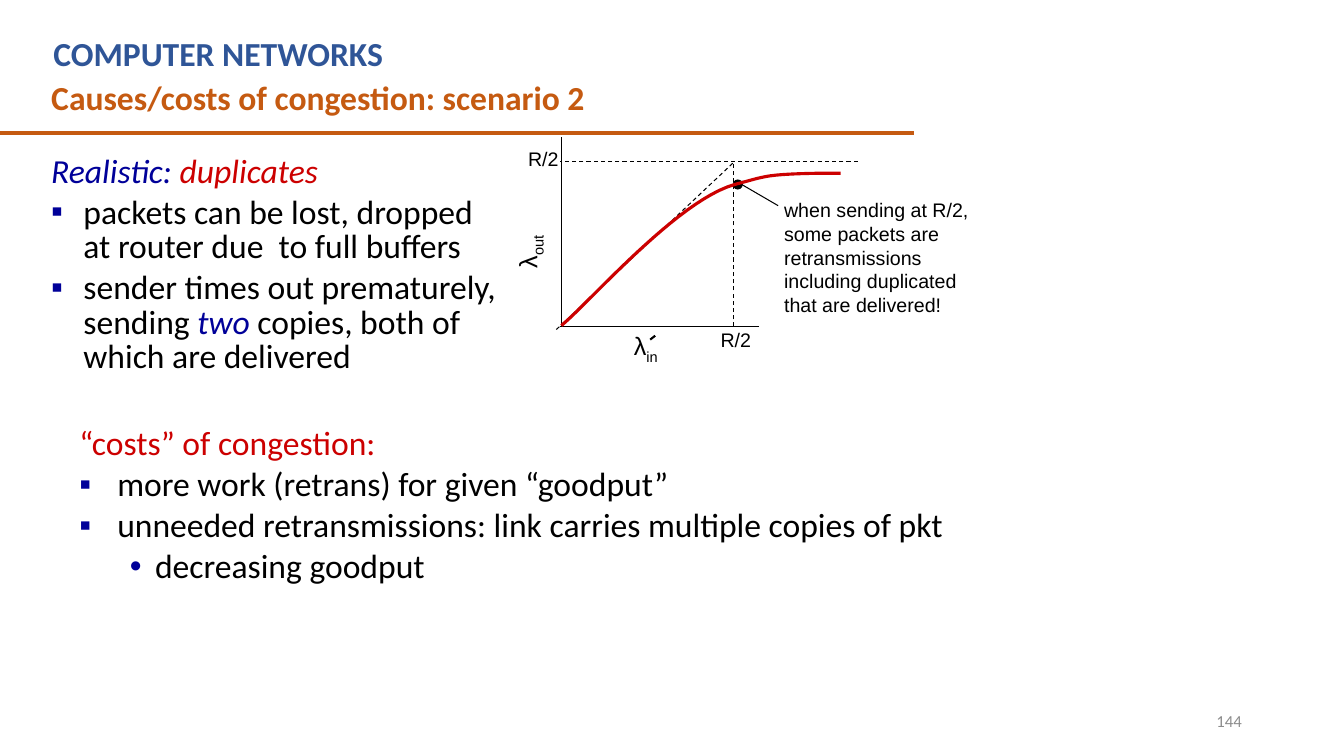
from dataclasses import dataclass

from lxml import etree
from pptx import Presentation
from pptx.dml.color import RGBColor
from pptx.enum.dml import MSO_LINE
from pptx.enum.shapes import MSO_CONNECTOR, MSO_SHAPE
from pptx.enum.text import MSO_ANCHOR, PP_ALIGN
from pptx.oxml.ns import qn
from pptx.util import Pt

STRAIGHT = MSO_CONNECTOR.STRAIGHT
ELLIPSE = MSO_SHAPE.OVAL
DASH = MSO_LINE.DASH
LEFT, RIGHT = PP_ALIGN.LEFT, PP_ALIGN.RIGHT
TOP, MIDDLE = MSO_ANCHOR.TOP, MSO_ANCHOR.MIDDLE

BLACK, RED, NAVY = "000000", "CC0000", "000099"
ORANGE, BLUE, GREY = "C55A11", "2F5597", "8C8C8C"
SQUARE, DOT = "▪", "•"


@dataclass
class Span:
    text: str
    color: str = ""
    italic: bool = False
    subscript: bool = False


@dataclass
class Para:
    spans: list[Span]
    color: str = BLACK
    indent: float = 0
    hanging: float = 0
    bullet: str = ""
    level: int = 0


@dataclass
class TextBox:
    left: float
    top: float
    width: float
    height: float
    paras: list[Para]
    size: float = 14
    font: str = "Arial"
    bold: bool = False
    wrap: bool = True
    rotation: float = 0
    align: PP_ALIGN = LEFT
    anchor: MSO_ANCHOR = TOP
    line_spacing: float = 1
    space_before: float = 0


@dataclass
class Line:
    x1: float
    y1: float
    x2: float
    y2: float
    color: str = BLACK
    width: float = 0.75
    dashed: bool = False
    arrow: bool = False


def rgb(color: str) -> RGBColor:
    return RGBColor.from_string(color)


def plain(text: str, color: str = BLACK) -> list[Para]:
    return [Para([Span(text)], color)]


def add_bullet(para, bullet: str) -> None:
    props = para._p.get_or_add_pPr()
    color = etree.SubElement(props, qn("a:buClr"))
    etree.SubElement(color, qn("a:srgbClr"), val=NAVY)
    etree.SubElement(props, qn("a:buFont"), typeface="Arial")
    etree.SubElement(props, qn("a:buChar"), char=bullet)


def draw_text(page, item: TextBox) -> None:
    box = page.shapes.add_textbox(Pt(item.left), Pt(item.top), Pt(item.width), Pt(item.height))
    box.rotation = item.rotation
    frame = box.text_frame
    frame.word_wrap = item.wrap
    frame.vertical_anchor = item.anchor
    for index, source in enumerate(item.paras):
        para = frame.add_paragraph() if index else frame.paragraphs[0]
        para.alignment = item.align
        para.line_spacing = item.line_spacing
        para.space_before = Pt(item.space_before if index else 0)
        para.level = source.level
        if source.hanging:
            props = para._p.get_or_add_pPr()
            props.set("marL", str(Pt(source.indent)))
            props.set("indent", str(-Pt(source.hanging)))
        if source.bullet:
            add_bullet(para, source.bullet)
        para.font.name = item.font
        para.font.size = Pt(item.size)
        para.font.bold = item.bold
        para.font.color.rgb = rgb(source.color)
        for part in source.spans:
            span = para.add_run()
            span.text = part.text
            if part.color:
                span.font.color.rgb = rgb(part.color)
            if part.italic:
                span.font.italic = True
            if part.subscript:
                span._r.get_or_add_rPr().set("baseline", "-25000")


def draw_line(page, item: Line) -> None:
    line = page.shapes.add_connector(STRAIGHT, Pt(item.x1), Pt(item.y1), Pt(item.x2), Pt(item.y2))
    line.line.color.rgb = rgb(item.color)
    line.line.width = Pt(item.width)
    if item.dashed:
        line.line.dash_style = DASH
    if item.arrow:
        etree.SubElement(line.line._get_or_add_ln(), qn("a:tailEnd"), type="triangle")
    etree.SubElement(line._element.spPr, qn("a:effectLst"))


def bezier(points: list[tuple[float, float]], t: float) -> tuple[float, float]:
    weights = ((1 - t) ** 3, 3 * t * (1 - t) ** 2, 3 * t * t * (1 - t), t ** 3)
    x, y = (sum(w * p[axis] for w, p in zip(weights, points)) for axis in (0, 1))
    return x * 100, y * 100


def draw_curve(page, knots: list[tuple[float, float]], steps: int = 24) -> None:
    points = [bezier(knots[first:first + 4], step / steps)
              for first in range(0, len(knots) - 1, 3) for step in range(1, steps + 1)]
    start_x, start_y = bezier(knots[:4], 0)
    builder = page.shapes.build_freeform(start_x, start_y, scale=Pt(0.01))
    builder.add_line_segments(points, close=False)
    curve = builder.convert_to_shape()
    curve.shadow.inherit = False
    curve.fill.background()
    curve.line.color.rgb = rgb(RED)
    curve.line.width = Pt(2.25)


def draw_dot(page, left: float, top: float, size: float) -> None:
    dot = page.shapes.add_shape(ELLIPSE, Pt(left), Pt(top), Pt(size), Pt(size))
    dot.shadow.inherit = False
    dot.fill.solid()
    dot.fill.fore_color.rgb = rgb(BLACK)
    dot.line.fill.background()


HEADINGS = [
    TextBox(31, 20.2, 590.4, 36, plain("COMPUTER NETWORKS", BLUE), 24, "Calibri", True),
    TextBox(29.5, 51.1, 630, 36, plain("Causes/costs of congestion: scenario 2", ORANGE),
            24, "Calibri", True),
]
BODY = [
    TextBox(29.5, 108, 339.1, 151.2, [
        Para([Span("Realistic: ", italic=True), Span("duplicates", RED, True)], NAVY, 27, 27),
        Para([Span("packets can be lost, dropped at router due  to full buffers")],
             BLACK, 23, 23, SQUARE),
        Para([Span("sender times out prematurely, sending "), Span("two ", NAVY, True),
              Span("copies, both of which are delivered")], BLACK, 23, 23, SQUARE),
    ], 24, "Calibri", line_spacing=0.85, space_before=4.8),
    TextBox(49.7, 302.4, 641.5, 77.8, [
        Para([Span("“costs” of congestion:")], RED, 27, 27),
        Para([Span("more work (retrans) for given “goodput”")], BLACK, 27, 27, SQUARE),
        Para([Span("unneeded retransmissions: link carries multiple copies of pkt")],
             BLACK, 27, 27, SQUARE),
        Para([Span("decreasing goodput")], BLACK, 54, 18, DOT, 1),
    ], 24, "Calibri", line_spacing=0.85, space_before=4.8),
]
CHART_LABELS = [
    TextBox(370.1, 101.5, 36, 23.8, plain("R/2"), wrap=False),
    TextBox(507.6, 230.4, 36, 23.8, plain("R/2"), wrap=False),
    TextBox(352.1, 159.8, 49, 28.8, [Para([Span("λ"), Span("out", subscript=True)])],
            18, rotation=270),
    TextBox(445.7, 232.6, 33.8, 28.8, [Para([Span("λ"), Span("in", subscript=True)])],
            18, wrap=False),
    TextBox(553, 138.2, 148.3, 90.7, plain(
        "when sending at R/2, some packets are retransmissions "
        "including duplicated that are delivered!")),
]
PAGE_NUMBER = TextBox(678.2, 500.4, 216, 28.8, plain("144", GREY), 12, "Calibri",
                      align=RIGHT, anchor=MIDDLE)
LINES = [
    Line(-0.7, 95, 653, 95, ORANGE, 3),                   # title rule
    Line(401, 98, 401, 233.3),                            # vertical axis
    Line(542.2, 233.3, 400.3, 233.3),                     # horizontal axis
    Line(612.7, 115.2, 400.3, 115.2, dashed=True),        # capacity limit
    Line(397.4, 235.4, 524.9, 115.2, dashed=True),        # ideal throughput
    Line(524.2, 233.3, 524.2, 116.6, dashed=True),        # sending rate R/2
    Line(555.8, 146.9, 524.9, 128.9, arrow=True),         # pointer to the dot
    Line(464.4, 242.6, 468, 239.8, width=1.5),            # prime mark on lambda
]
THROUGHPUT = [
    (401, 232.6), (421.2, 216), (483.8, 143.3), (524.9, 131.8),
    (547.2, 126), (545.8, 124.6), (583.9, 123.8),
    (600.5, 123.8), (596.9, 123.8), (600.5, 123.8),
]


def main() -> None:
    deck = Presentation()
    deck.slide_width, deck.slide_height = Pt(960), Pt(540)
    page = deck.slides.add_slide(deck.slide_layouts[6])

    # Rules, axes and throughput curve
    for line in LINES:
        draw_line(page, line)
    draw_dot(page, 523.4, 128.2, 7.2)
    draw_curve(page, THROUGHPUT)

    # Text
    for item in [*HEADINGS, *BODY, *CHART_LABELS, PAGE_NUMBER]:
        draw_text(page, item)
    deck.save("out.pptx")


if __name__ == "__main__":
    main()
